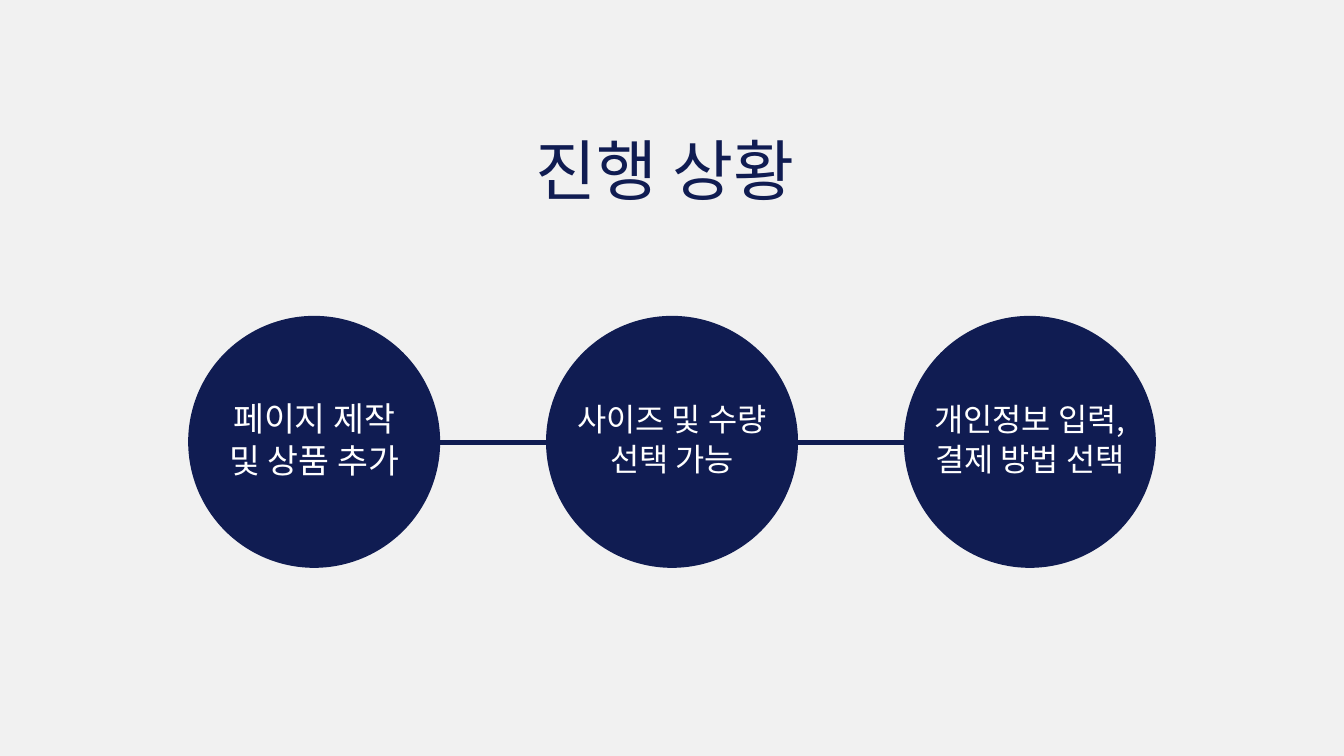
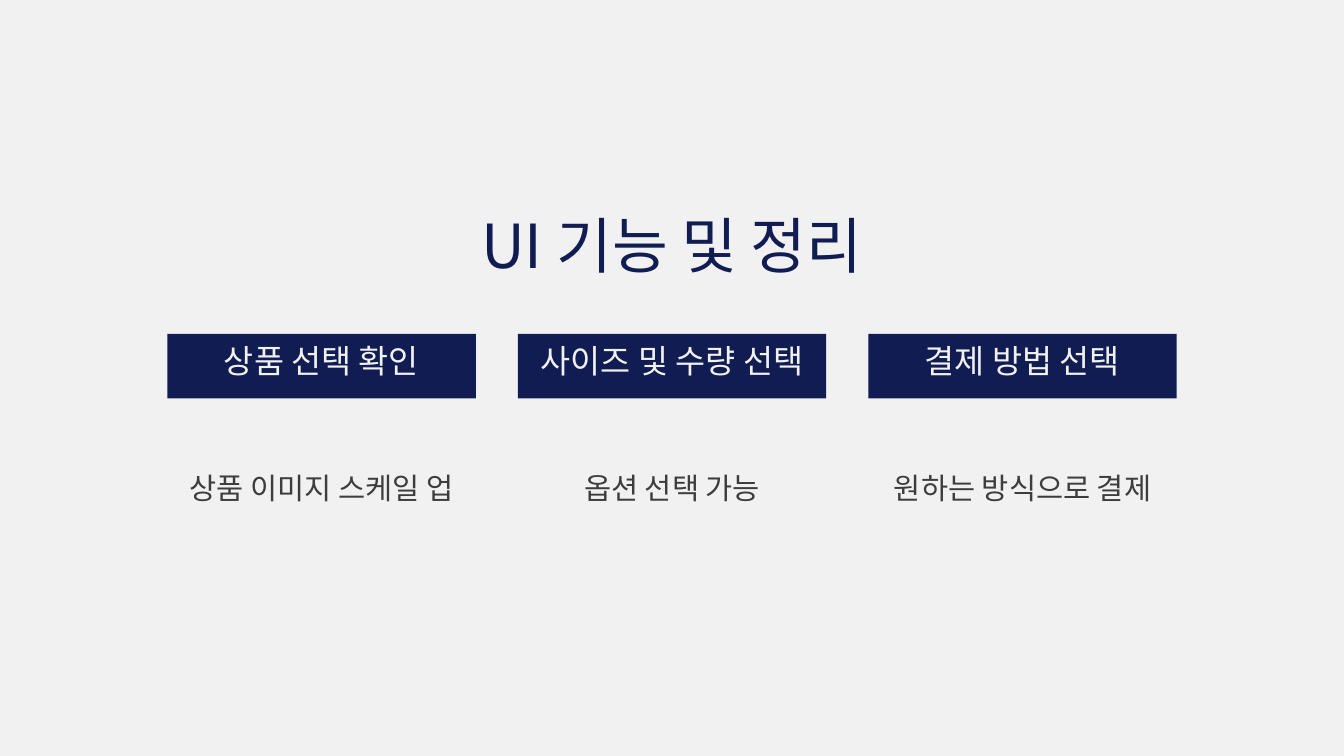
from dataclasses import dataclass

from lxml import etree
from pptx import Presentation
from pptx.dml.color import RGBColor
from pptx.enum.shapes import MSO_CONNECTOR, MSO_SHAPE
from pptx.enum.text import MSO_ANCHOR, MSO_AUTO_SIZE, PP_ALIGN
from pptx.oxml.ns import qn
from pptx.shapes.autoshape import Shape
from pptx.slide import Slide
from pptx.util import Pt

CENTER = PP_ALIGN.CENTER
TOP, MIDDLE = MSO_ANCHOR.TOP, MSO_ANCHOR.MIDDLE
NO_AUTOFIT = MSO_AUTO_SIZE.NONE
OVAL, RECTANGLE = MSO_SHAPE.OVAL, MSO_SHAPE.RECTANGLE
STRAIGHT = MSO_CONNECTOR.STRAIGHT

NAVY = RGBColor(0x10, 0x1C, 0x52)
PAPER = RGBColor(0xF1, 0xF1, 0xF1)
WHITE = RGBColor(0xFF, 0xFF, 0xFF)
CHARCOAL = RGBColor(0x3D, 0x3D, 0x3D)
FONT = "Noto Sans CJK KR"
TITLE_ONLY = 5

# Progress steps
CIRCLE_LEFT, CIRCLE_TOP, CIRCLE_SIZE, CIRCLE_PITCH = 201.6, 338.4, 270, 383.4
LABEL_WIDTH, LABEL_HEIGHT, LABEL_TOP = 219.6, 225, 357
TRACK_START, TRACK_END, TRACK_Y = 336.4, 1223.3, 474.5

# Feature columns
COLUMN_LEFT, COLUMN_WIDTH, COLUMN_PITCH = 179.3, 330.5, 375.5
BAR_TOP, BAR_HEIGHT = 357.8, 69.1
DETAIL_TOP, DETAIL_HEIGHT = 504, 38.2


@dataclass(frozen=True)
class Box:
    left: float
    top: float
    width: float
    height: float

    def emu(self) -> tuple[Pt, Pt, Pt, Pt]:
        return Pt(self.left), Pt(self.top), Pt(self.width), Pt(self.height)


@dataclass(frozen=True)
class TextStyle:
    size: float
    line: float
    color: RGBColor
    anchor: MSO_ANCHOR = TOP
    inset: float = 0


@dataclass(frozen=True)
class Step:
    label: str
    style: TextStyle


@dataclass(frozen=True)
class Feature:
    heading: str
    detail: str


STEP_LARGE = TextStyle(36, 45, WHITE, MIDDLE, 4.3)
STEP_SMALL = TextStyle(34, 42.5, WHITE, MIDDLE, 4.3)
HEADING = TextStyle(35, 49, PAPER)
DETAIL = TextStyle(31.6, 37.9, CHARCOAL)

STEPS = (
    Step("페이지 제작 및 상품 추가", STEP_LARGE),
    Step("사이즈 및 수량 선택 가능", STEP_SMALL),
    Step("개인정보 입력, 결제 방법 선택", STEP_SMALL),
)
FEATURES = (
    Feature("상품 선택 확인", "상품 이미지 스케일 업"),
    Feature("사이즈 및 수량 선택", "옵션 선택 가능"),
    Feature("결제 방법 선택", "원하는 방식으로 결제"),
)


def write(shape: Shape, text: str, style: TextStyle) -> None:
    """Put one centred, styled paragraph into the shape."""
    frame = shape.text_frame
    frame.text = text
    frame.word_wrap = True
    frame.auto_size = NO_AUTOFIT
    frame.vertical_anchor = style.anchor
    frame.margin_left = frame.margin_right = Pt(style.inset)
    frame.margin_top = frame.margin_bottom = Pt(style.inset)
    paragraph = frame.paragraphs[0]
    paragraph.alignment = CENTER
    paragraph.line_spacing = Pt(style.line)
    for run in paragraph.runs:
        run.font.size = Pt(style.size)
        run.font.color.rgb = style.color
        run.font.name = FONT
        east_asian = etree.SubElement(run.font._element, qn("a:ea"))
        east_asian.set("typeface", FONT)


def add_text(slide: Slide, box: Box, text: str, style: TextStyle) -> None:
    write(slide.shapes.add_textbox(*box.emu()), text, style)


def add_solid(slide: Slide, preset: MSO_SHAPE, box: Box) -> Shape:
    """Add a navy shape with neither outline nor shadow."""
    shape = slide.shapes.add_shape(preset, *box.emu())
    shape.shadow.inherit = False
    shape.fill.solid()
    shape.fill.fore_color.rgb = NAVY
    shape.line.fill.background()
    return shape


def add_titled_slide(prs: Presentation, title: str, box: Box, style: TextStyle) -> Slide:
    slide = prs.slides.add_slide(prs.slide_layouts[TITLE_ONLY])
    heading = slide.shapes.title
    heading.left, heading.top, heading.width, heading.height = box.emu()
    write(heading, title, style)
    return slide


def add_track(slide: Slide) -> None:
    """Draw the line that runs behind the step circles."""
    track = slide.shapes.add_connector(
        STRAIGHT, Pt(TRACK_START), Pt(TRACK_Y), Pt(TRACK_END), Pt(TRACK_Y)
    )
    track.line.color.rgb = NAVY
    track.line.width = Pt(5.25)
    etree.SubElement(track._element.spPr, qn("a:effectLst"))


def build_progress(prs: Presentation) -> None:
    slide = add_titled_slide(
        prs, "진행 상황", Box(349.5, 138.2, 726.5, 86.4), TextStyle(71, 85.2, NAVY)
    )
    add_track(slide)
    label_offset = (CIRCLE_SIZE - LABEL_WIDTH) / 2
    for index, step in enumerate(STEPS):
        left = CIRCLE_LEFT + index * CIRCLE_PITCH
        add_solid(slide, OVAL, Box(left, CIRCLE_TOP, CIRCLE_SIZE, CIRCLE_SIZE))
        label_box = Box(left + label_offset, LABEL_TOP, LABEL_WIDTH, LABEL_HEIGHT)
        add_text(slide, label_box, step.label, step.style)


def build_features(prs: Presentation) -> None:
    slide = add_titled_slide(
        prs, "UI 기능 및 정리", Box(405, 223.2, 630, 78.5), TextStyle(65, 78, NAVY)
    )
    for index, feature in enumerate(FEATURES):
        left = COLUMN_LEFT + index * COLUMN_PITCH
        bar = add_solid(slide, RECTANGLE, Box(left, BAR_TOP, COLUMN_WIDTH, BAR_HEIGHT))
        write(bar, feature.heading, HEADING)
        detail_box = Box(left, DETAIL_TOP, COLUMN_WIDTH, DETAIL_HEIGHT)
        add_text(slide, detail_box, feature.detail, DETAIL)


def main() -> None:
    prs = Presentation()
    prs.slide_width, prs.slide_height = Pt(1440), Pt(810)
    background = prs.slide_master.background.fill
    background.solid()
    background.fore_color.rgb = PAPER
    build_progress(prs)
    build_features(prs)
    prs.save("out.pptx")


if __name__ == "__main__":
    main()
